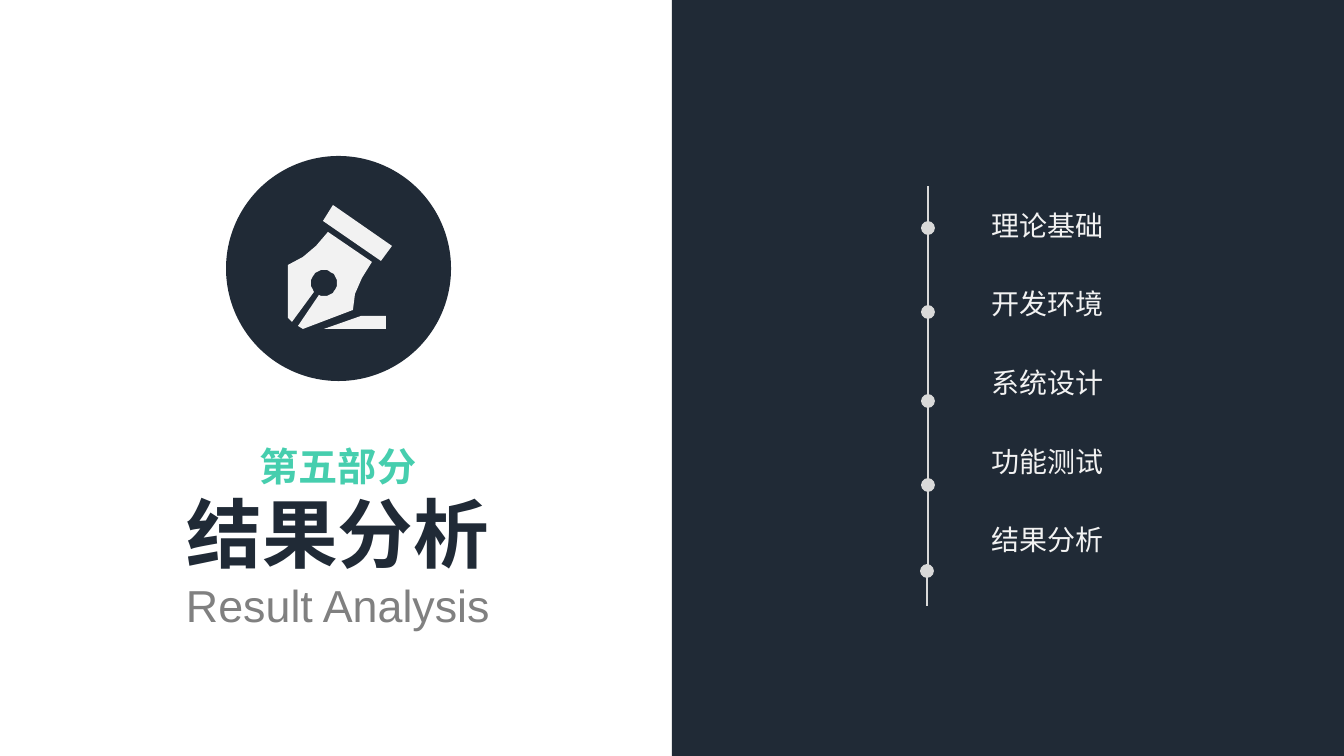
import itertools
import math

import lxml.etree
import pptx
import pptx.dml.color
import pptx.enum.shapes
import pptx.enum.text
import pptx.oxml.ns
import pptx.util

PX = 9076
NAVY = pptx.dml.color.RGBColor(0x20, 0x2A, 0x36)
MINT = pptx.dml.color.RGBColor(0x46, 0xCE, 0xAE)
GREY = pptx.dml.color.RGBColor(0x80, 0x80, 0x80)
SILVER = pptx.dml.color.RGBColor(0xD9, 0xD9, 0xD9)
PALE = pptx.dml.color.RGBColor(0xF2, 0xF2, 0xF2)
CJK = "Noto Sans CJK SC"
LEFT = pptx.enum.text.PP_ALIGN.LEFT
CENTER = pptx.enum.text.PP_ALIGN.CENTER

PART = {"size": 28, "name": CJK, "color": MINT, "bold": True}
HEADING = {"size": 54, "name": CJK, "color": NAVY, "bold": True}
ENGLISH = {"size": 32, "name": "Arial", "color": GREY, "bold": False}
CHAPTER = {"size": 20, "name": CJK, "color": PALE, "bold": False}

CHAPTERS = ["理论基础", "开发环境", "系统设计", "功能测试", "结果分析"]
TIMELINE_STOPS = [186, 228, 312, 401, 485, 571, 606]

INK_HOLE = [
    (324 + 13 * math.cos(math.radians(angle)), 283 + 13 * math.sin(math.radians(angle)))
    for angle in range(111, -223, -9)
]
NIB = [
    (292, 322), (288, 318), (288, 265), (303, 257), (316, 246), (328, 232),
    (372, 262), (362, 278), (355, 294), (353, 310), (303, 329), (298, 326),
] + INK_HOLE
STROKE = [(324, 329), (386, 329), (386, 316), (361, 316)]
COLLAR = [(381, 261), (392, 246), (333, 205), (323, 221)]


class SlideBuilder:
    def __init__(self, slide):
        self.slide = slide
        self.shapes = slide.shapes

    def add_child(self, parent, tag, **attributes):
        return lxml.etree.SubElement(parent, pptx.oxml.ns.qn(tag), attributes)

    def paint(self, shape, color):
        shape.shadow.inherit = False
        shape.fill.solid()
        shape.fill.fore_color.rgb = color
        shape.line.fill.background()

    def shape(self, kind, left, top, width, height, color):
        shape = self.shapes.add_shape(kind, *(PX * n for n in (left, top, width, height)))
        self.paint(shape, color)

    def outline(self, contours, color):
        builder = self.shapes.build_freeform(*contours[0][0], scale=PX)
        for contour in contours:
            builder.move_to(*contour[0])
            builder.add_line_segments(contour[1:], close=True)
        self.paint(builder.convert_to_shape(), color)

    def line(self, x, start, end, color, dotted):
        line = self.shapes.add_connector(
            pptx.enum.shapes.MSO_CONNECTOR.STRAIGHT, x * PX, start * PX, x * PX, end * PX)
        line.line.color.rgb = color
        line.line.width = pptx.util.Pt(1.5)
        if dotted:
            self.add_child(line.line._get_or_add_ln(), "a:tailEnd", type="oval", w="lg", len="lg")
        self.add_child(line._element.spPr, "a:effectLst")

    def text_box(self, left, top, width, height, lines, align):
        box = self.shapes.add_textbox(0, 0, PX, PX)
        self.fill_text(box, left, top, width, height, lines, align)

    def placeholder(self, index, left, top, width, height, lines, align, gap=0):
        box = self.slide.placeholders[index]
        box.element.getparent().append(box.element)
        self.fill_text(box, left, top, width, height, lines, align, gap)

    def fill_text(self, box, left, top, width, height, lines, align, gap=0):
        bounds = {"left": left, "top": top, "width": width, "height": height}
        for name, value in bounds.items():
            setattr(box, name, value * PX)
        frame = box.text_frame
        frame_format = {
            "word_wrap": False,
            "auto_size": pptx.enum.text.MSO_AUTO_SIZE.NONE,
            "vertical_anchor": pptx.enum.text.MSO_ANCHOR.TOP,
        }
        for name, value in frame_format.items():
            setattr(frame, name, value)
        for number, (text, style) in enumerate(lines):
            para = frame.add_paragraph() if number else frame.paragraphs[0]
            para_format = {
                "alignment": align,
                "space_before": pptx.util.Pt(0),
                "space_after": pptx.util.Pt(gap),
            }
            for name, value in para_format.items():
                setattr(para, name, value)
            properties = para._p.get_or_add_pPr()
            properties.set("marL", "0")
            properties.set("indent", "0")
            self.add_child(properties, "a:buNone")
            self.span(para, text, style)

    def span(self, para, text, style):
        span = para.add_run()
        span.text = text
        font_format = {
            "size": pptx.util.Pt(style["size"]),
            "name": style["name"],
            "bold": style["bold"],
        }
        for name, value in font_format.items():
            setattr(span.font, name, value)
        span.font.color.rgb = style["color"]
        self.add_child(span._r.get_or_add_rPr(), "a:ea", typeface=style["name"])


def main():
    deck = pptx.Presentation()
    deck.slide_width = 1344 * PX
    deck.slide_height = 756 * PX
    page = SlideBuilder(deck.slides.add_slide(deck.slide_layouts[1]))
    shapes = pptx.enum.shapes.MSO_SHAPE

    page.shape(shapes.OVAL, 226, 156, 225, 225, NAVY)
    page.outline([NIB, STROKE, COLLAR], PALE)
    page.text_box(249, 437, 178, 67, [("第五部分", PART)], CENTER)
    heading = [("结果分析", HEADING), ("Result Analysis", ENGLISH)]
    page.placeholder(0, 175, 482, 326, 170, heading, CENTER)

    page.shape(shapes.RECTANGLE, 672, 0, 672, 756, NAVY)
    for upper, lower in itertools.pairwise(TIMELINE_STOPS):
        x = 927 if lower == TIMELINE_STOPS[-1] else 928
        page.line(x, lower, upper, SILVER, upper != TIMELINE_STOPS[0])
    chapters = [(chapter, CHAPTER) for chapter in CHAPTERS]
    page.placeholder(1, 981, 203, 133, 393, chapters, LEFT, gap=32.2)

    deck.save("out.pptx")


if __name__ == "__main__":
    main()
